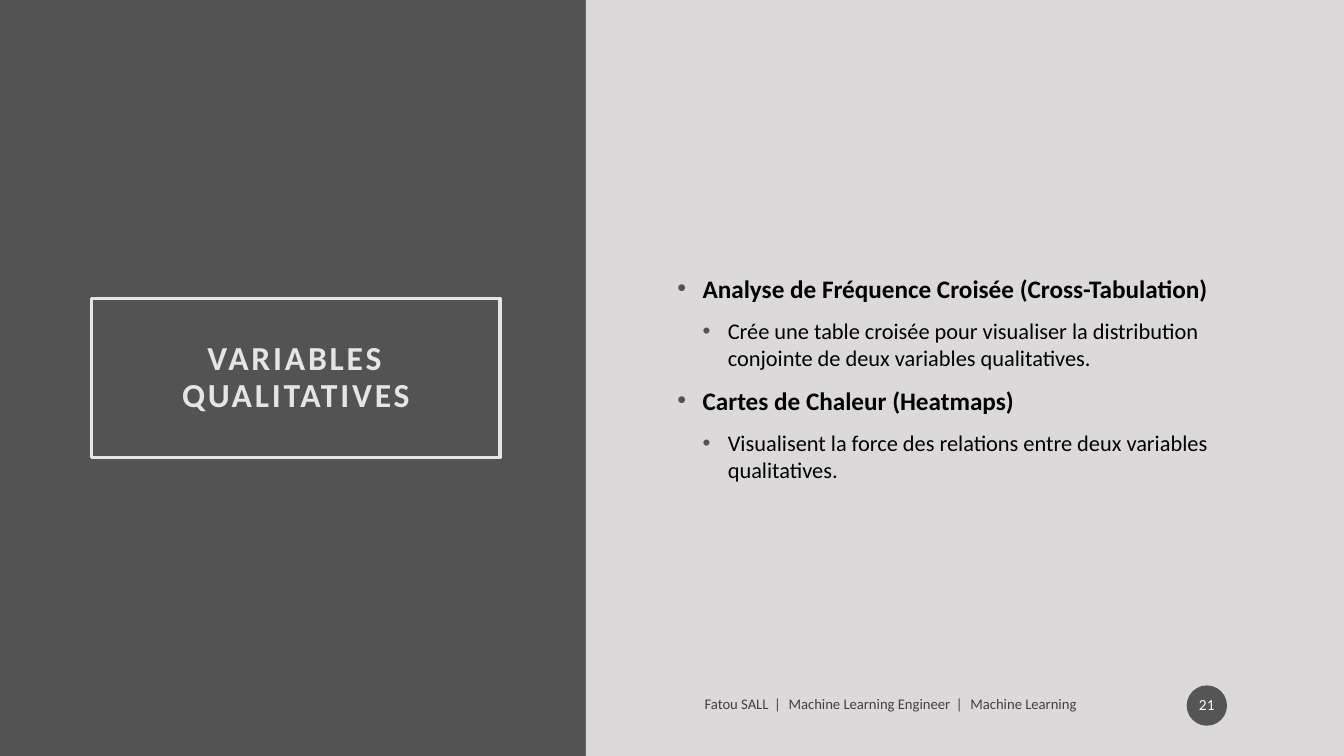
from lxml import etree
from pptx import Presentation
from pptx.dml.color import RGBColor
from pptx.enum.shapes import MSO_SHAPE
from pptx.enum.text import MSO_ANCHOR, PP_ALIGN
from pptx.oxml.ns import qn
from pptx.util import Inches, Pt

RECT, OVAL = MSO_SHAPE.RECTANGLE, MSO_SHAPE.OVAL
MIDDLE = MSO_ANCHOR.MIDDLE
LEFT, CENTER = PP_ALIGN.LEFT, PP_ALIGN.CENTER

TITLE = "VARIABLES QUALITATIVES"
TOPICS = [
    ("Analyse de Fréquence Croisée (Cross-Tabulation)",
     "Crée une table croisée pour visualiser la distribution conjointe de deux variables qualitatives."),
    ("Cartes de Chaleur (Heatmaps)",
     "Visualisent la force des relations entre deux variables qualitatives."),
]
FOOTER = ["Fatou SALL", "Machine Learning Engineer", "Machine Learning"]
PAGE = "21"

WIDTH, HEIGHT = 13.33, 7.5
PANEL_LEFT = 5.81
INDENT = 0.25
THEME = {
    "font": "Calibri", "dark": "535353", "light": "E6E5E5", "panel": "DBD9D9",
    "text": "000000", "badge": "1D1D1D", "white": "FFFFFF", "alpha": 70,
    "title": 24, "topic": 18, "detail": 16, "footer": 10.5, "page": 11,
}


def paint(fill, color, alpha=None):
    fill.solid()
    fill.fore_color.rgb = RGBColor.from_string(THEME[color])
    if alpha:
        clr = fill._xPr.find(qn("a:solidFill"))[0]
        etree.SubElement(clr, qn("a:alpha"), val=str(alpha * 1000))


def add_shape(kind, box, fill=None, line=None, alpha=None):
    s = slide.shapes.add_shape(kind, *map(Inches, box))
    s.shadow.inherit = False
    if fill:
        paint(s.fill, fill, alpha)
    else:
        s.fill.background()
    if line:
        paint(s.line.fill, line)
        s.line.width = Pt(2.5)
    else:
        s.line.fill.background()
    return s


def frame(s, x_inset=0.1, y_inset=0.05):
    tf = s.text_frame
    x, y = Inches(x_inset), Inches(y_inset)
    for name, value in {"word_wrap": True, "vertical_anchor": MIDDLE, "margin_left": x,
                        "margin_right": x, "margin_top": y, "margin_bottom": y}.items():
        setattr(tf, name, value)
    return tf


def format_paragraph(p, **values):
    for name, value in values.items():
        setattr(p, name, value)


def add_run(p, text, size, color, bold=False, spacing=0, alpha=None):
    r = p.add_run()
    r.text = text
    for name, value in {"name": THEME["font"], "size": Pt(THEME[size]), "bold": bold}.items():
        setattr(r.font, name, value)
    paint(r.font.fill, color, alpha)
    if spacing:
        r.font._rPr.set("spc", str(int(spacing * 100)))


def add_bullet(p, level):
    pPr = p._p.get_or_add_pPr()
    pPr.set("marL", str(Inches(INDENT * (level + 1))))
    pPr.set("indent", str(-Inches(INDENT)))
    clr = etree.SubElement(pPr, qn("a:buClr"))
    etree.SubElement(clr, qn("a:srgbClr"), val=THEME["dark"])
    etree.SubElement(pPr, qn("a:buFont"), typeface="Arial")
    etree.SubElement(pPr, qn("a:buChar"), char="•")


prs = Presentation()
prs.slide_width, prs.slide_height = Inches(WIDTH), Inches(HEIGHT)
slide = prs.slides.add_slide(prs.slide_layouts[6])
paint(slide.background.fill, "dark")

title = add_shape(RECT, (0.91, 2.96, 4.05, 1.58), line="light")
p = frame(title, 0.2, 0.2).paragraphs[0]
format_paragraph(p, alignment=CENTER, line_spacing=0.9)
add_run(p, TITLE, "title", "light", bold=True, spacing=2)

add_shape(RECT, (PANEL_LEFT, 0, WIDTH - PANEL_LEFT, HEIGHT), fill="panel")

body = slide.shapes.add_textbox(*map(Inches, (6.62, 0.88, 5.92, 5.74)))
tf = frame(body)
lines = [(level, text) for topic in TOPICS for level, text in enumerate(topic)]
for i, (level, text) in enumerate(lines):
    p = tf.add_paragraph() if i else tf.paragraphs[0]
    add_bullet(p, level)
    format_paragraph(p, level=level, alignment=LEFT, space_before=Pt(10 if i else 0))
    add_run(p, text, "detail" if level else "topic", "text", bold=level == 0)

footer = slide.shapes.add_textbox(*map(Inches, (6.89, 6.81, 4.68, 0.34)))
p = frame(footer).paragraphs[0]
format_paragraph(p, alignment=LEFT, space_after=Pt(6))
for i, part in enumerate(FOOTER):
    if i:
        add_run(p, " | ", "footer", "text", spacing=1.6, alpha=THEME["alpha"])
    add_run(p, part, "footer", "text", alpha=THEME["alpha"])

badge = add_shape(OVAL, (11.77, 6.8, 0.4, 0.4), fill="badge", alpha=THEME["alpha"])
p = frame(badge, 0.02).paragraphs[0]
format_paragraph(p, alignment=CENTER, line_spacing=0.9, space_after=Pt(6))
add_run(p, PAGE, "page", "white")

prs.save("out.pptx")
